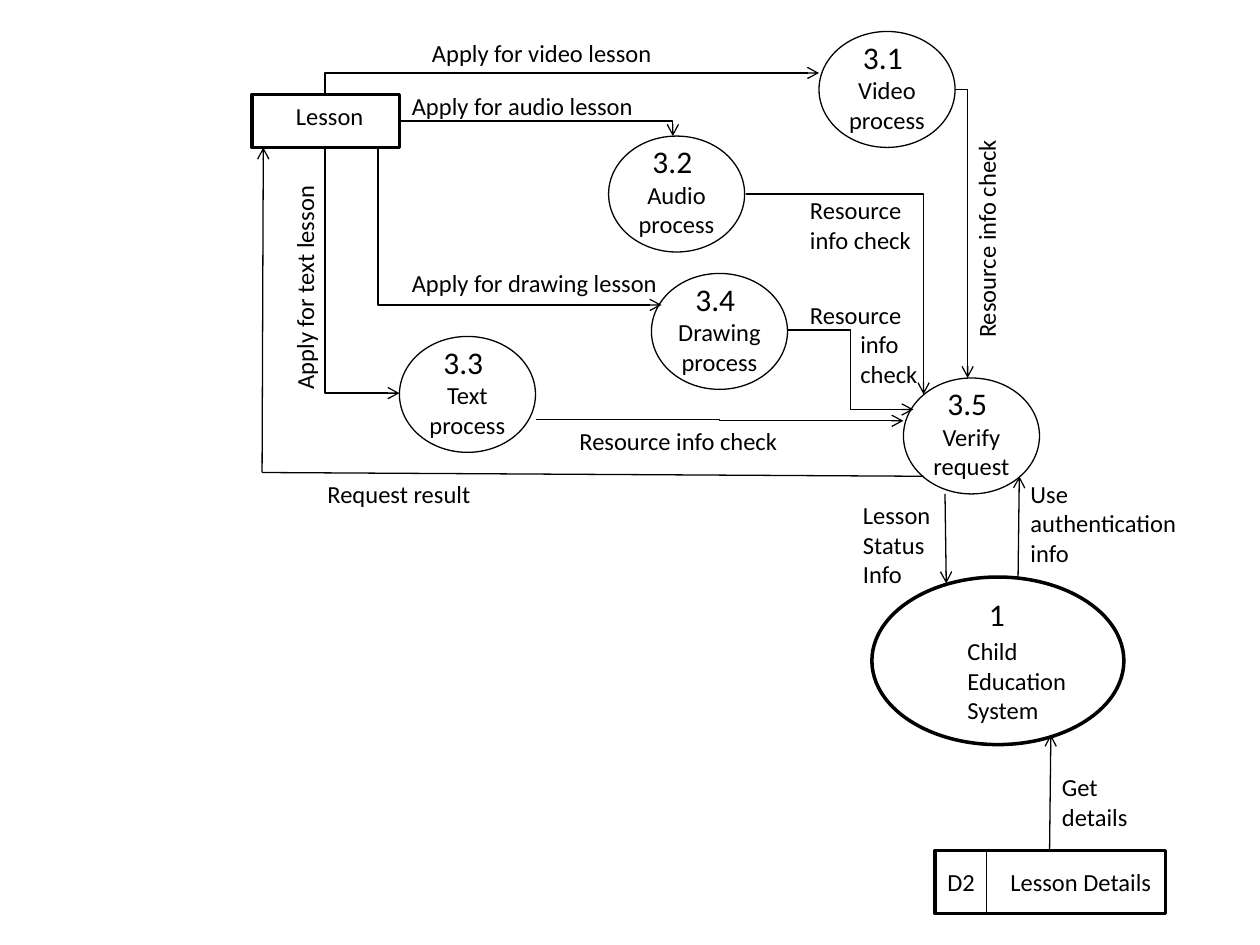
from lxml import etree
from pptx import Presentation
from pptx import util as u
from pptx.dml.color import RGBColor
from pptx.enum import shapes, text
from pptx.oxml.ns import qn

BLACK = RGBColor(0, 0, 0)
FONT = "Calibri"
BODY, NUMBER = 14, 18
THIN, THICK = 0.75, 2
CIRCLE_W, CIRCLE_H = 1.08, 0.92


class FlowDiagram:
    """Holds the style and the slide being drawn."""

    def __init__(self, slide):
        self.slide = slide

    def add_lines(self, frame, lines, size=BODY, align=None, indents=()):
        for i, line in enumerate(lines):
            para = frame.paragraphs[0] if i == 0 else frame.add_paragraph()
            para.alignment = align
            if i < len(indents) and indents[i]:
                para._p.get_or_add_pPr().set("marL", str(u.Inches(indents[i])))
            run = para.add_run()
            run.text = line
            run.font.name, run.font.size = FONT, u.Pt(size)
            run.font.color.rgb = BLACK

    def label(self, x, y, w, h, *lines, size=BODY, wrap=False, turn=0, indents=()):
        box = self.slide.shapes.add_textbox(*map(u.Inches, (x, y, w, h)))
        box.rotation = turn
        box.text_frame.word_wrap = wrap
        self.add_lines(box.text_frame, lines, size, indents=indents)

    def outline(self, preset, x, y, w, h, weight=THICK):
        shape = self.slide.shapes.add_shape(preset, *map(u.Inches, (x, y, w, h)))
        shape.shadow.inherit = False
        shape.fill.background()
        shape.line.color.rgb = BLACK
        shape.line.width = u.Pt(weight)
        return shape

    def process(self, x, y, number, *name):
        circle = self.outline(shapes.MSO_SHAPE.OVAL, x, y, CIRCLE_W, CIRCLE_H, THIN)
        frame = circle.text_frame
        frame.word_wrap = False
        frame.vertical_anchor = text.MSO_ANCHOR.MIDDLE
        frame.margin_top = u.Inches(0.29)  # room for the number
        self.add_lines(frame, name, align=text.PP_ALIGN.CENTER)
        self.label(x + 0.25, y, 0.52, 0.4, number, size=NUMBER)

    def line(self, start, end, arrow=True, kind=shapes.MSO_CONNECTOR.STRAIGHT):
        link = self.slide.shapes.add_connector(kind, *map(u.Inches, (*start, *end)))
        link.line.color.rgb = BLACK
        link.line.width = u.Pt(THIN)
        properties = link._element.spPr
        if arrow:
            etree.SubElement(properties.find(qn("a:ln")), qn("a:tailEnd"), type="arrow")
        etree.SubElement(properties, qn("a:effectLst"))
        return link

    def elbow(self, start, end, bend):
        """Bend at a share of the width: 0 is down first, 1 is across first."""
        link = self.line(start, end, kind=shapes.MSO_CONNECTOR.ELBOW)
        geometry = link._element.spPr.find(qn("a:prstGeom"))
        if bend == 1:
            geometry.set("prst", "bentConnector2")
            return
        guides = geometry.find(qn("a:avLst"))
        if guides is None:
            guides = etree.SubElement(geometry, qn("a:avLst"))
        etree.SubElement(guides, qn("a:gd"), name="adj1", fmla=f"val {int(bend * 100000)}")


def main():
    prs = Presentation()
    prs.slide_width, prs.slide_height = u.Inches(10), u.Inches(7.5)
    flow = FlowDiagram(prs.slides.add_slide(prs.slide_layouts[6]))
    oval, rect = shapes.MSO_SHAPE.OVAL, shapes.MSO_SHAPE.RECTANGLE

    # Main system
    flow.outline(oval, 6.92, 4.58, 2, 1.33)
    flow.label(7.58, 5, 2, 0.81, "Child", "Education", "System", wrap=True)
    flow.label(7.75, 4.67, 0.33, 0.4, "1", size=NUMBER)

    # Lesson entity
    flow.outline(rect, 2, 0.75, 1.17, 0.42)
    flow.label(2.25, 0.75, 0.79, 0.34, "Lesson")

    # Lesson details store
    flow.outline(rect, 7.42, 6.75, 1.83, 0.5)
    flow.line((7.83, 6.75), (7.83, 7.25), arrow=False)
    flow.label(7.42, 6.83, 0.42, 0.34, "D2")
    flow.label(7.92, 6.83, 1.33, 0.34, "Lesson Details")

    # Processes
    for x, y, number, *name in (
        (6.5, 0.25, "3.1", "Video", "process"),
        (4.83, 1.08, "3.2", "Audio", "process"),
        (3.17, 2.67, "3.3", "Text", "process"),
        (5.17, 2.17, "3.4", "Drawing", "process"),
        (7.17, 3, "3.5", "Verify", "request"),
    ):
        flow.process(x, y, number, *name)

    # Bent flows: lesson to processes, then processes to verification
    for start, end, bend in (
        ((2.58, 0.75), (6.5, 0.58), 0),
        ((3.17, 0.96), (5.34, 1.08), 1),
        ((2.58, 1.17), (3.17, 3.12), 0),
        ((3, 1.17), (5.25, 2.42), 0),
        ((7.58, 0.71), (7.68, 3), 1),
        ((5.92, 1.54), (7.33, 3.13), 1),
        ((6.25, 2.62), (7.25, 3.25), 0.5),
        ((4.25, 3.33), (7.17, 3.34), 0.5),
    ):
        flow.elbow(start, end, bend)

    # Straight flows: result, status, authentication, details
    flow.line((7.33, 3.78), (2.08, 3.75), arrow=False)
    flow.line((2.08, 3.75), (2.09, 1.17))
    flow.line((7.5, 3.92), (7.51, 4.63))
    flow.line((8.08, 4.58), (8.09, 3.78))
    flow.line((8.33, 6.75), (8.34, 5.83))

    # Flow labels
    check = "Resource info check"
    flow.label(3.33, 0.25, 2.01, 0.34, "Apply for video lesson")
    flow.label(3.17, 0.67, 2.02, 0.34, "Apply for audio lesson")
    flow.label(3.17, 2.08, 2.21, 0.34, "Apply for drawing lesson")
    flow.label(1.48, 2.08, 1.88, 0.34, "Apply for text lesson", turn=270)
    flow.label(6.94, 1.72, 1.78, 0.34, check, turn=270)
    flow.label(4.5, 3.33, 1.78, 0.34, check)
    flow.label(6.33, 1.5, 1.01, 0.57, "Resource", "info check")
    flow.label(6.33, 2.33, 1.05, 0.81, "Resource", "info", "check", indents=(0, 0.4, 0.4))
    flow.label(2.5, 3.75, 1.35, 0.34, "Request result")
    flow.label(6.75, 3.92, 0.79, 0.81, "Lesson", "Status", "Info")
    flow.label(8.08, 3.75, 1.42, 0.81, "Use", "authentication", "info")
    flow.label(8.33, 6.08, 0.73, 0.57, "Get", "details")

    prs.save("out.pptx")


if __name__ == "__main__":
    main()
